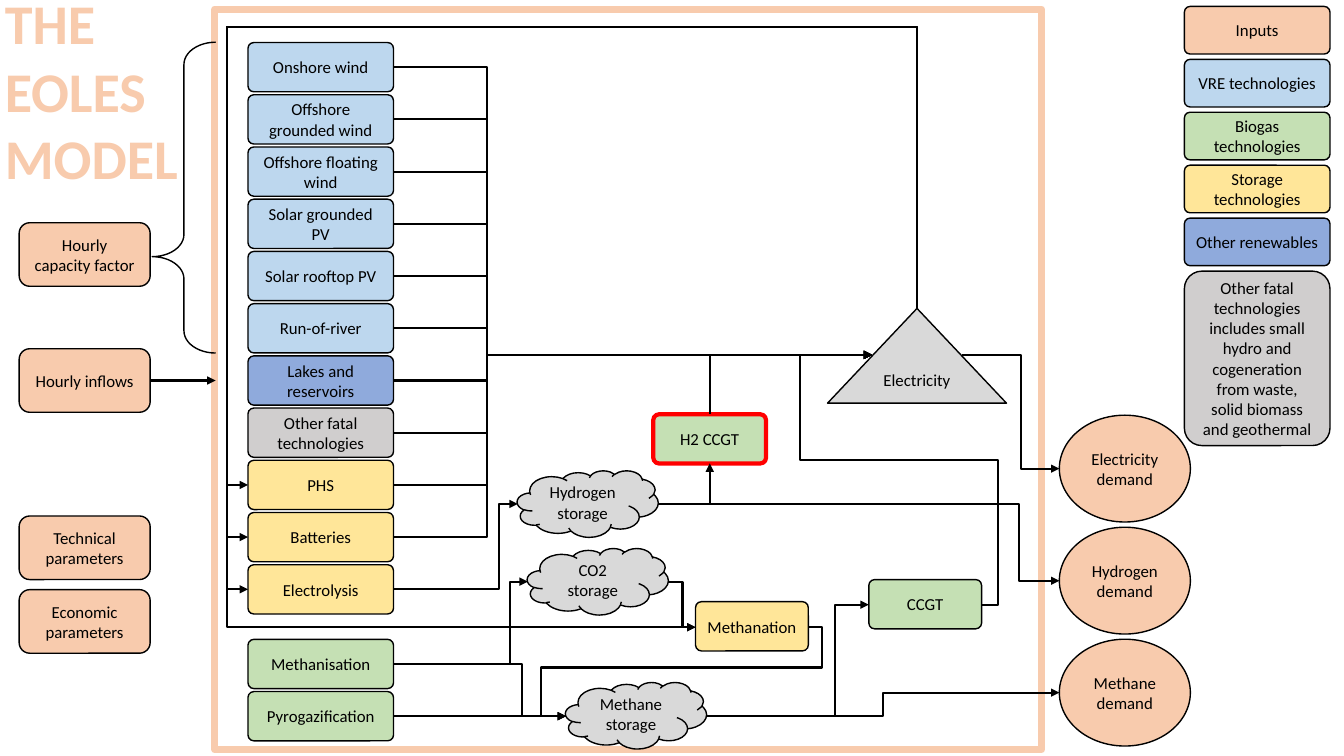
from pptx import Presentation
from pptx.dml.color import RGBColor
from pptx.enum import shapes, text
from pptx.oxml import ns, xmlchemy
from pptx.util import Pt

PEACH, BLUE, GREEN, YELLOW = "F8CBAD", "BDD7EE", "C5E0B4", "FFE699"
NAVY, GREY, SILVER, BLACK = "8FAADC", "D0CECE", "D9D9D9", "000000"
KIND = shapes.MSO_SHAPE
ROUND, OVAL, CLOUD = KIND.ROUNDED_RECTANGLE, KIND.OVAL, KIND.CLOUD
hue = RGBColor.from_string

deck = Presentation()
deck.slide_width, deck.slide_height = Pt(960), Pt(540)
page = deck.slides.add_slide(deck.slide_layouts[6]).shapes


def box(kind, label, x, y, w, h, fill=None, adj=(), edge=BLACK, width=1):
    item = page.add_shape(kind, Pt(x), Pt(y), Pt(w), Pt(h))
    item.shadow.inherit = False
    for i, value in enumerate(adj):
        item.adjustments[i] = value
    if fill:
        item.fill.solid()
        item.fill.fore_color.rgb = hue(fill)
    else:
        item.fill.background()
    item.line.color.rgb = hue(edge)
    item.line.width = Pt(width)
    if label:
        frame = item.text_frame
        frame.text = label
        frame.word_wrap = True
        frame.vertical_anchor = text.MSO_ANCHOR.MIDDLE
        for para in frame.paragraphs:
            para.alignment = text.PP_ALIGN.CENTER
            for key, value in {"name": "Calibri", "size": Pt(12)}.items():
                setattr(para.font, key, value)
            para.font.color.rgb = hue(BLACK)


def link(x1, y1, x2, y2, *bends, end="tailEnd"):
    style = shapes.MSO_CONNECTOR
    kind = style.STRAIGHT if y1 == y2 else style.ELBOW
    line = page.add_connector(kind, Pt(x1), Pt(y1), Pt(x2), Pt(y2))
    line.line.color.rgb = hue(BLACK)
    line.line.width = Pt(1.5)
    props = line._element.spPr
    if kind == style.ELBOW:
        geom = props.find(ns.qn("a:prstGeom"))
        geom.set("prst", f"bentConnector{len(bends) + 2}")
        guides = geom.find(ns.qn("a:avLst"))
        for i, bend in enumerate(bends):
            start, stop = ((x1, x2), (y1, y2))[i % 2]
            part = round((bend - start) / (stop - start) * 100000)
            guide = xmlchemy.OxmlElement("a:gd")
            guide.set("name", f"adj{i + 1}")
            guide.set("fmla", f"val {part}")
            guides.append(guide)
    tip = xmlchemy.OxmlElement(f"a:{end}")
    tip.set("type", "triangle")
    props.find(ns.qn("a:ln")).append(tip)
    props.append(xmlchemy.OxmlElement("a:effectLst"))


box(KIND.RECTANGLE, "", 153.5, 6.5, 590.5, 529, edge=PEACH, width=5)
box(KIND.LEFT_BRACE, "", 108.7, 30.2, 45.4, 222, adj=(0.35, 0.69))

title = page.add_textbox(Pt(-3.6), Pt(-11.5), Pt(139.7), Pt(152.6)).text_frame
title.word_wrap = False
title.text = "THE\nEOLES\nMODEL"
for para in title.paragraphs:
    for key, value in {"name": "Calibri", "size": Pt(40), "bold": True}.items():
        setattr(para.font, key, value)
    para.font.color.rgb = hue(PEACH)

legend = [("Inputs", PEACH), ("VRE technologies", BLUE), ("Biogas technologies", GREEN),
          ("Storage technologies", YELLOW), ("Other renewables", NAVY)]
for i, (label, fill) in enumerate(legend):
    box(ROUND, label, 846, 4.6 + 37.8 * i, 104, 34, fill, (0.12,))
box(ROUND, "Other fatal technologies includes small hydro and cogeneration "
    "from waste, solid biomass and geothermal", 846, 193.7, 104, 124.6, GREY, (0.12,))

inputs = [("Hourly capacity factor", 159.1), ("Hourly inflows", 249.1),
          ("Technical parameters", 368.6), ("Economic parameters", 421.2)]
for label, y in inputs:
    box(ROUND, label, 13.7, y, 93.6, 45.4, PEACH)

techs = [("Onshore wind", BLUE), ("Offshore grounded wind", BLUE),
         ("Offshore floating wind", BLUE), ("Solar grounded PV", BLUE),
         ("Solar rooftop PV", BLUE), ("Run-of-river", BLUE),
         ("Lakes and reservoirs", NAVY), ("Other fatal technologies", GREY),
         ("PHS", YELLOW), ("Batteries", YELLOW), ("Electrolysis", YELLOW),
         ("Methanisation", GREEN), ("Pyrogazification", GREEN)]
rows = [48 + 37.3 * i + (16 if i > 10 else 0) for i in range(len(techs))]
for (label, fill), y in zip(techs, rows):
    box(ROUND, label, 177.1, y - 17.6, 104, 35.2, fill, (0.12,))

stores = [("Hydrogen", 369.4, 336.2), ("CO2", 376.6, 391.7), ("Methane", 403.9, 487.4)]
for label, x, y in stores:
    box(CLOUD, f"{label}\nstorage", x, y, 100.8, 47.5, SILVER)

box(KIND.ISOSCELES_TRIANGLE, "Electricity", 591.1, 220.3, 127.8, 67.7, SILVER)

plants = [("H2 CCGT", 466.6, 295.9, GREEN, "FF0000", 3),
          ("Methanation", 496.8, 429.8, YELLOW, BLACK, 1),
          ("CCGT", 620.6, 414, GREEN, BLACK, 1)]
for label, x, y, fill, edge, width in plants:
    box(ROUND, label, x, y, 80.6, 35.2, fill, (0.12,), edge, width)

for i, label in enumerate(["Electricity", "Hydrogen", "Methane"]):
    box(OVAL, f"{label}\ndemand", 756.7, 296.6 + 80 * i, 93.6, 76.3, PEACH)

for y in rows[:10]:
    link(281.1, y, 623, 253.5, 348)
for x, y in [(177.1, rows[8]), (177.1, rows[9]), (177.1, rows[10]), (496.8, 448)]:
    link(x, y, 655, 220.3, 162, 19.2, end="headEnd")

hydro, carbon, gas = 360, 415.5, rows[12]
link(107.3, 271.8, 154, 271.8)
link(281.1, rows[10], 369.8, hydro, 356.4)
link(281.1, rows[11], 377, carbon, 364.5)
link(281.1, rows[11], 404.3, gas, 373)
link(281.1, gas, 404.3, gas)
link(477.4, carbon, 496.8, 448, 487.5)
link(577.4, 448, 404.3, gas, 587, 476.8, 386.5)
link(470.1, hydro, 507, 331.1)
link(623, 253.5, 507, 295.9, end="headEnd")
link(504.6, gas, 620.6, 432, 596.5)
link(701.2, 432, 623, 253.5, 712.6, 328.3, 571.7)
link(687, 253.5, 756.7, 334.8, 729.5)
link(470.1, hydro, 756.7, 414.8, 728)
link(504.6, gas, 756.7, 494.8, 630.7)

deck.save("out.pptx")
